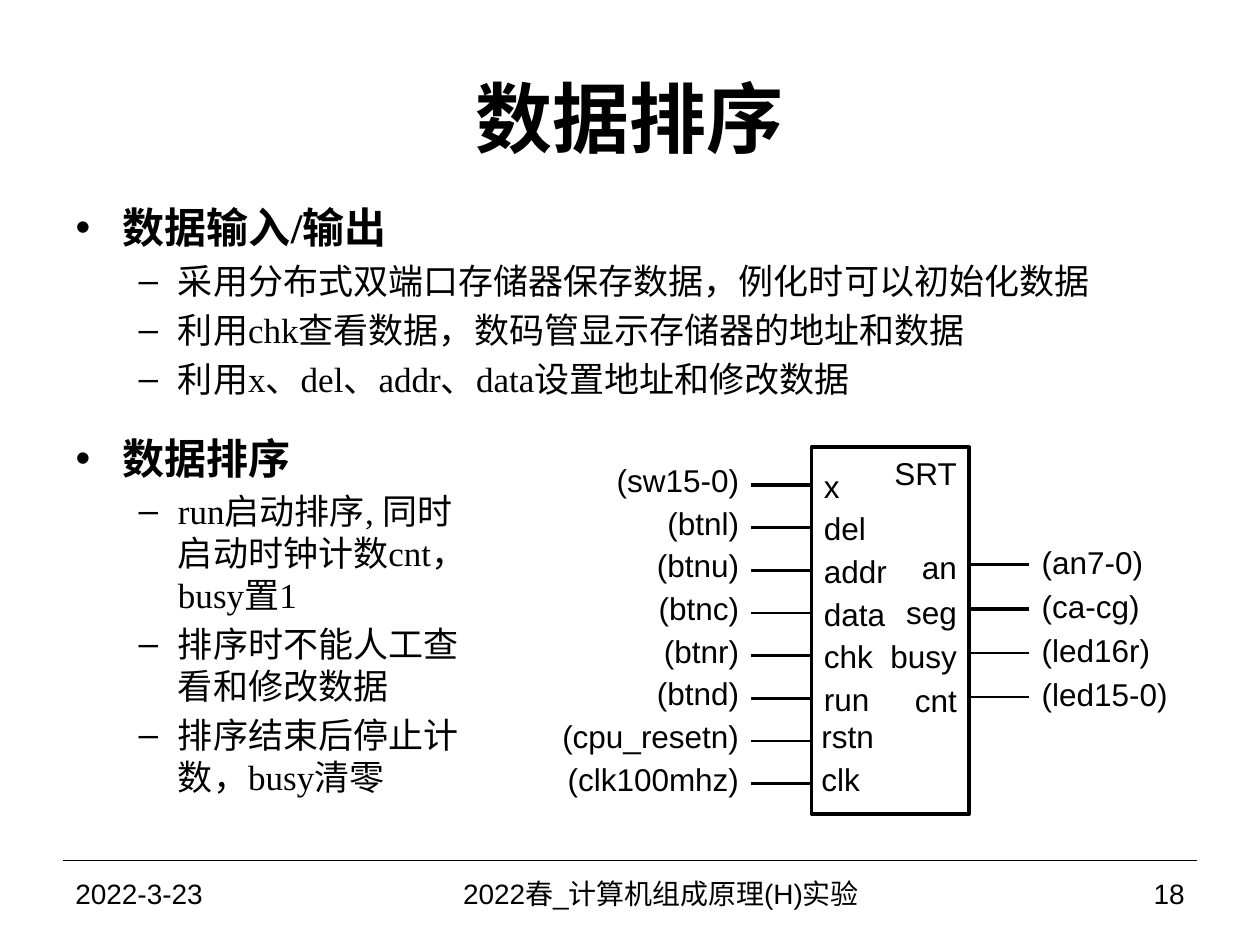
from lxml import etree
from pptx import Presentation
from pptx.dml.color import RGBColor
from pptx.enum.shapes import MSO_CONNECTOR, MSO_SHAPE
from pptx.enum.text import MSO_ANCHOR, MSO_AUTO_SIZE, PP_ALIGN
from pptx.oxml.ns import qn
from pptx.util import Cm, Pt

LEFT, CENTER, RIGHT = PP_ALIGN.LEFT, PP_ALIGN.CENTER, PP_ALIGN.RIGHT
TOP, MIDDLE = MSO_ANCHOR.TOP, MSO_ANCHOR.MIDDLE
STRAIGHT = MSO_CONNECTOR.STRAIGHT
RECTANGLE = MSO_SHAPE.RECTANGLE
NO_FIT = MSO_AUTO_SIZE.NONE
BLACK = RGBColor(0, 0, 0)
SANS, SERIF = "Arial", "Times New Roman"

# Content
TITLE = "数据排序"
LISTS = [  # box in cm, heading, items
    ((1.27, 3.94, 22.63, 4.65), "数据输入/输出", [
        "采用分布式双端口存储器保存数据，例化时可以初始化数据",
        "利用chk查看数据，数码管显示存储器的地址和数据",
        "利用x、del、addr、data设置地址和修改数据"]),
    ((1.27, 8.59, 8.74, 8.76), "数据排序", [
        "run启动排序, 同时启动时钟计数cnt，busy置1",
        "排序时不能人工查看和修改数据",
        "排序结束后停止计数，busy清零"]),
]
FOOTER = [  # text, left, width, alignment
    ("2022-3-23", 1.27, 5.92, LEFT),
    ("2022春_计算机组成原理(H)实验", 7.19, 12.27, CENTER),
    ("18", 19.68, 4.45, RIGHT),
]
# port, port width, signal, signal width, line weight
INPUTS = [
    ("x", 0.84, "(sw15-0)", 3.23, 2.25),
    ("del", 1.37, "(btnl)", 2.26, 1.5),
    ("addr", 1.8, "(btnu)", 2.26, 1.5),
    ("data", 1.75, "(btnc)", 2.31, 1.5),
    ("chk", 1.5, "(btnr)", 2.31, 1.5),
    ("run", 1.45, "(btnd)", 2.31, 1.5),
    ("rstn", 1.07, "(cpu_resetn)", 4.32, 1.5),
    ("clk", 0.79, "(clk100mhz)", 4.32, 1.5),
]
OUTPUTS = [
    ("an", 1.22, "(an7-0)", 2.59, 2.25),
    ("seg", 1.55, "(ca-cg)", 2.51, 2.25),
    ("busy", 1.85, "(led16r)", 3.05, 1.5),
    ("cnt", 1.37, "(led15-0)", 3.05, 1.5),
]
TIGHT_PORTS = ("rstn", "clk")

# Geometry in cm
BLOCK_LEFT, BLOCK_TOP, BLOCK_W, BLOCK_H = 16.36, 9.02, 3.18, 7.39
BLOCK_RIGHT = BLOCK_LEFT + BLOCK_W
WIRE = 1.21
INPUT_TOP, INPUT_PITCH = 9.78, 0.86
OUTPUT_TOP, OUTPUT_PITCH = 11.38, 0.89
FOOTER_TOP, FOOTER_H = 17.35, 1.32


def set_font(p, size, name=SANS, bold=False):
    p.font.size, p.font.name, p.font.bold = Pt(size), name, bold
    p.font.color.rgb = BLACK


def place(sp, box):
    sp.left, sp.top, sp.width, sp.height = (Cm(v) for v in box)


def add_text(shapes, text, box, align, size=18, anchor=TOP, wrap=True,
             spacing=None, tight=False):
    tf = shapes.add_textbox(*(Cm(v) for v in box)).text_frame
    tf.word_wrap, tf.vertical_anchor = wrap, anchor
    if tight:
        tf.margin_left = tf.margin_right = tf.margin_top = tf.margin_bottom = 0
    p = tf.paragraphs[0]
    p.text, p.alignment, p.line_spacing = text, align, spacing
    set_font(p, size)


def add_line(shapes, x1, x2, y, weight):
    line = shapes.add_connector(STRAIGHT, Cm(x1), Cm(y), Cm(x2), Cm(y))
    line.line.color.rgb, line.line.width = BLACK, Pt(weight)
    etree.SubElement(line._element.spPr, qn("a:effectLst"))


prs = Presentation()
prs.slide_width, prs.slide_height = Cm(25.4), Cm(19.05)
s = prs.slides.add_slide(prs.slide_layouts[3])

# Title
title = s.shapes.title
place(title, (1.27, 0.76, 22.86, 3.18))
title.text_frame.text = TITLE
title.text_frame.vertical_anchor = MIDDLE
title.text_frame.auto_size = NO_FIT
set_font(title.text_frame.paragraphs[0], 44, bold=True)

# Bulleted lists
for idx, (box, heading, items) in enumerate(LISTS, start=1):
    body = s.placeholders[idx]
    place(body, box)
    tf = body.text_frame
    tf.auto_size = NO_FIT
    tf.text = heading
    set_font(tf.paragraphs[0], 24, SERIF, True)
    for item in items:
        p = tf.add_paragraph()
        p.text, p.level = item, 1
        set_font(p, 20, SERIF)

# Block diagram
diagram = s.shapes.add_group_shape().shapes
block = diagram.add_shape(RECTANGLE, Cm(BLOCK_LEFT), Cm(BLOCK_TOP),
                          Cm(BLOCK_W), Cm(BLOCK_H))
block.shadow.inherit = False
block.fill.background()
block.line.color.rgb, block.line.width = BLACK, Pt(2.25)
tf = block.text_frame
tf.text, tf.vertical_anchor, tf.word_wrap = "SRT", TOP, False
tf.paragraphs[0].alignment = RIGHT
set_font(tf.paragraphs[0], 18)

for i, (port, port_w, signal, signal_w, weight) in enumerate(INPUTS):
    y = INPUT_TOP + i * INPUT_PITCH
    wire_left = BLOCK_LEFT - WIRE
    add_line(diagram, wire_left, BLOCK_LEFT, y, weight)
    if port in TIGHT_PORTS:
        add_text(diagram, port, (BLOCK_LEFT + 0.2, y - 0.51, port_w, 0.81),
                 LEFT, anchor=MIDDLE, wrap=False, tight=True)
    else:
        add_text(diagram, port, (BLOCK_LEFT, y - 0.76, port_w, 1.17),
                 LEFT, wrap=False, spacing=Pt(29))
    add_text(diagram, signal, (wire_left - signal_w, y - 0.61, signal_w, 1.09),
             RIGHT)

for i, (port, port_w, signal, signal_w, weight) in enumerate(OUTPUTS):
    y = OUTPUT_TOP + i * OUTPUT_PITCH
    wire_right = BLOCK_RIGHT + WIRE
    add_line(diagram, BLOCK_RIGHT, wire_right, y, weight)
    add_text(diagram, port, (BLOCK_RIGHT - port_w, y - 0.71, port_w, 1.24),
             RIGHT, wrap=False, spacing=Pt(29))
    add_text(diagram, signal, (wire_right, y - 0.56, signal_w, 1.09), LEFT)

# Footer
add_line(s.shapes, 1.27, 24.13, FOOTER_TOP, 0.75)
for text, left, width, align in FOOTER:
    add_text(s.shapes, text, (left, FOOTER_TOP, width, FOOTER_H), align,
             size=16, anchor=MIDDLE)

prs.save("out.pptx")
